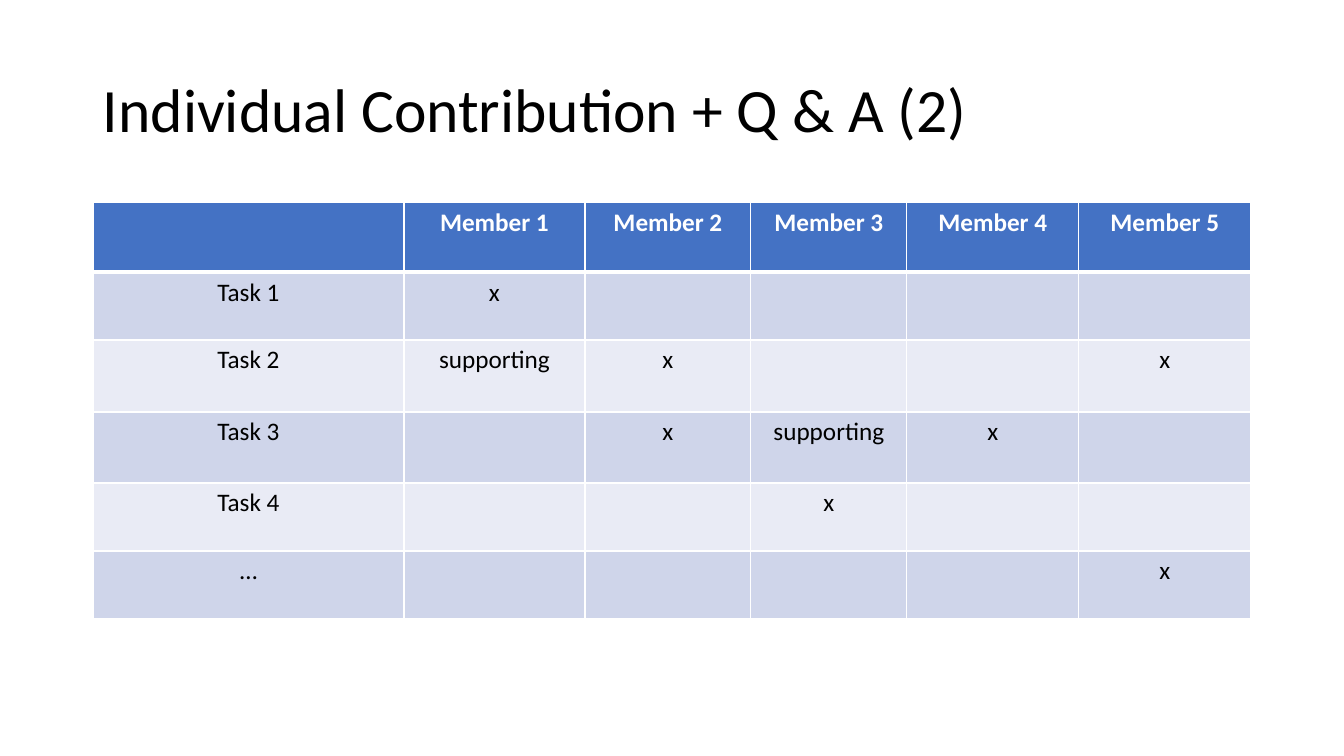
from typing import NamedTuple

from lxml.etree import SubElement
from pptx import Presentation
from pptx.dml.color import RGBColor
from pptx.enum.text import MSO_ANCHOR as Anchor, PP_ALIGN as Align
from pptx.oxml.ns import qn
from pptx.util import Emu, Pt

EMU_PER_PX = 914400 / 100.8
FONT = "Calibri"
COLORS = {
    "ink": "000000",
    "white": "FFFFFF",
    "header": "4472C4",
    "odd_band": "CFD5EA",
    "even_band": "E9EBF5",
}


class Task(NamedTuple):
    name: str
    roles: dict[int, str]  # member number -> role


MEMBER_COUNT = 5
TASKS = [
    Task("Task 1", {1: "x"}),
    Task("Task 2", {1: "supporting", 2: "x", 5: "x"}),
    Task("Task 3", {2: "x", 3: "supporting", 4: "x"}),
    Task("Task 4", {3: "x"}),
    Task("…", {5: "x"}),
]
COLUMN_WIDTHS = [311, 181, 166, 156, 172, 172]
ROW_HEIGHTS = [70, 68, 72, 71, 68, 68]


def px(length: int) -> Emu:
    return Emu(round(length * EMU_PER_PX))


def color(name: str) -> RGBColor:
    return RGBColor.from_string(COLORS[name])


def write(frame, text: str, *, size: float, ink: str = "ink", bold: bool = False,
          align: Align = Align.LEFT, spacing: float = 1.0) -> None:
    paragraph = frame.paragraphs[0]
    paragraph.alignment = align
    paragraph.line_spacing = spacing
    paragraph.font.size = Pt(size)
    if text:
        run = paragraph.add_run()
        run.text = text
        run.font.name = FONT
        run.font.size = Pt(size)
        run.font.bold = bold
        run.font.color.rgb = color(ink)


def draw_borders(cell, *, top: int = 1, bottom: int = 1) -> None:
    properties = cell._tc.get_or_add_tcPr()
    for side, width in {"L": 1, "R": 1, "T": top, "B": bottom}.items():
        line = SubElement(properties, qn(f"a:ln{side}"), w=str(Pt(width)))
        fill = SubElement(line, qn("a:solidFill"))
        SubElement(fill, qn("a:srgbClr"), val=COLORS["white"])


def add_title(slide, text: str) -> None:
    title = slide.shapes.add_textbox(px(93), px(40), px(1159), px(146)).text_frame
    title.word_wrap = True
    title.vertical_anchor = Anchor.MIDDLE
    write(title, text, size=44, spacing=0.9)


def add_contributions(slide, tasks: list[Task]) -> None:
    members = range(1, MEMBER_COUNT + 1)
    rows = [["", *(f"Member {member}" for member in members)]]
    rows += [[task.name, *(task.roles.get(member, "") for member in members)]
             for task in tasks]

    table = slide.shapes.add_table(
        len(rows), len(COLUMN_WIDTHS), px(93), px(202),
        px(sum(COLUMN_WIDTHS)), px(sum(ROW_HEIGHTS))).table
    for column, width in zip(table.columns, COLUMN_WIDTHS):
        column.width = px(width)
    for row, height in zip(table.rows, ROW_HEIGHTS):
        row.height = px(height)

    for r, texts in enumerate(rows):
        is_header = r == 0
        band = "header" if is_header else "odd_band" if r % 2 else "even_band"
        for c, text in enumerate(texts):
            cell = table.cell(r, c)
            draw_borders(cell, top=3 if r == 1 else 1, bottom=3 if is_header else 1)
            cell.fill.solid()
            cell.fill.fore_color.rgb = color(band)
            write(cell.text_frame, text, size=18, bold=is_header,
                  ink="white" if is_header else "ink", align=Align.CENTER)


def main() -> None:
    deck = Presentation()
    deck.slide_width, deck.slide_height = px(1344), px(756)
    slide = deck.slides.add_slide(deck.slide_layouts[6])
    add_title(slide, "Individual Contribution + Q & A (2)")
    add_contributions(slide, TASKS)
    deck.save("out.pptx")


if __name__ == "__main__":
    main()
